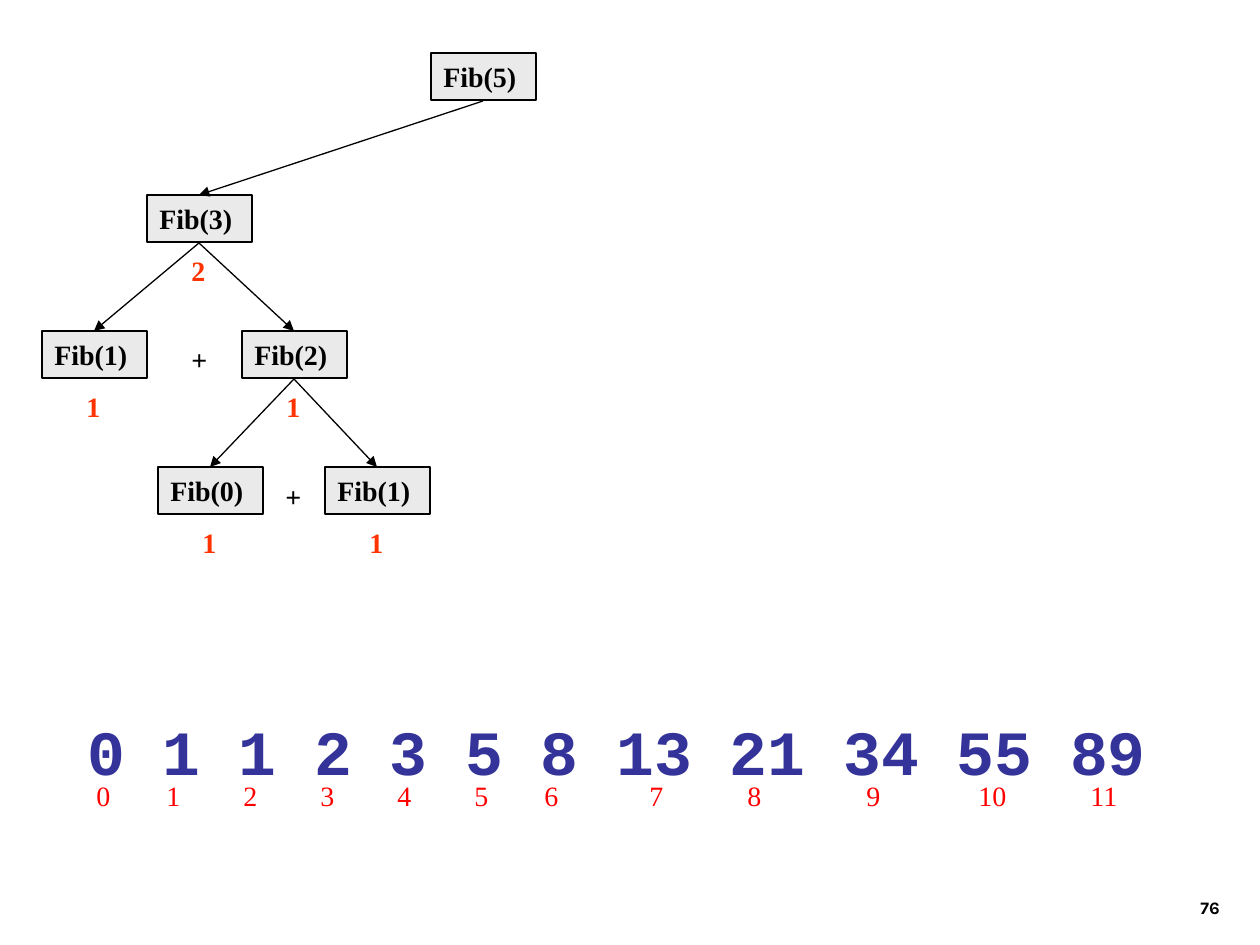
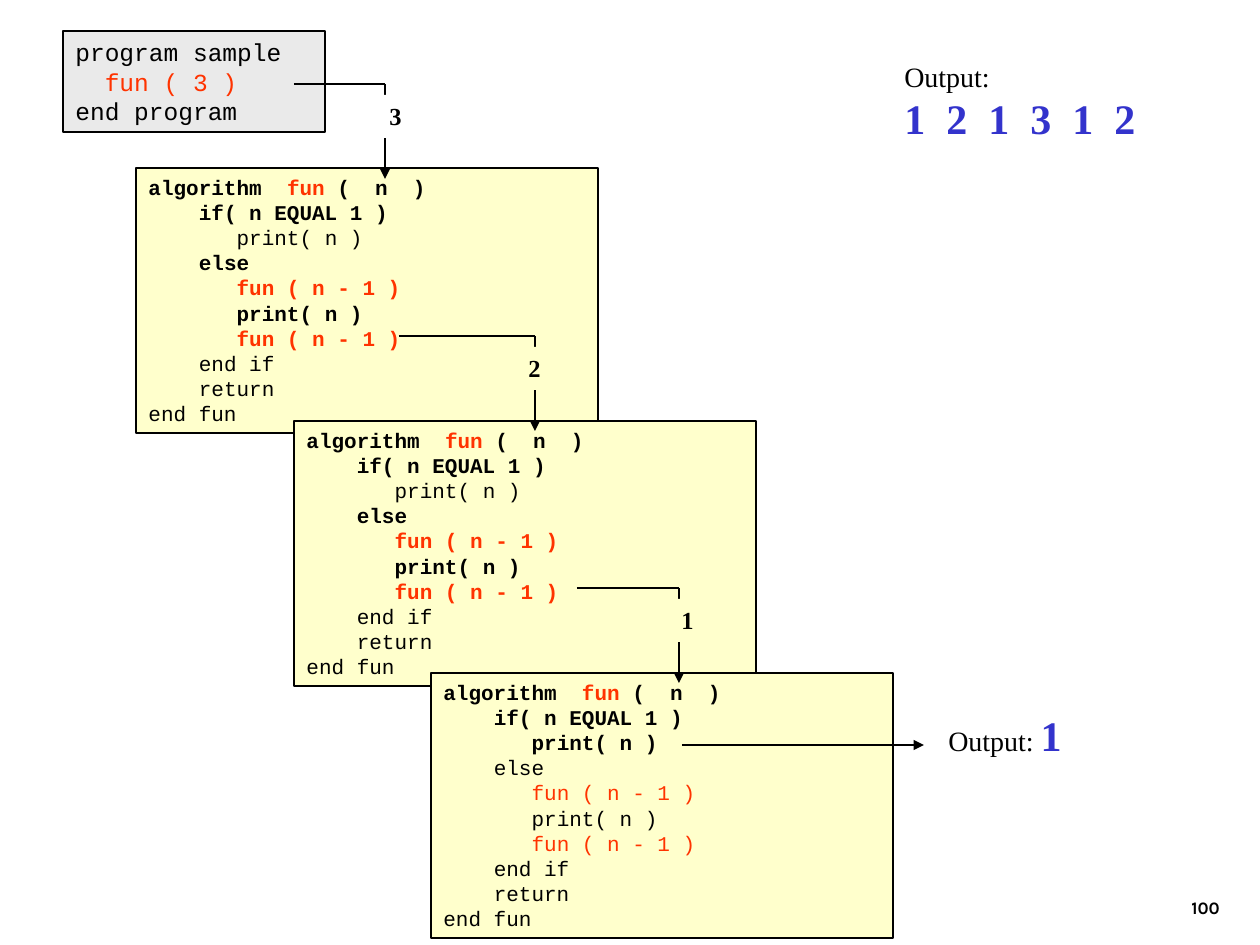
from lxml import etree
from pptx import Presentation
from pptx import util as u
from pptx.dml.color import RGBColor
from pptx.enum import shapes, text
from pptx.oxml.ns import qn

PX = 914400 / 126
HUES = {
    "black": "000000", "white": "FFFFFF", "gray": "EAEAEA", "cream": "FFFFCC",
    "call": "FF3300", "index": "FF0000", "navy": "333399", "blue": "3333CC",
}
HUES = {name: RGBColor.from_string(code) for name, code in HUES.items()}
SERIF, MONO, SANS = "Times New Roman", "Courier New", "Karla"


def box(page, rect, lines, size=16, hue="black", bold=True, face=SERIF,
        fill=None, edge=True):
    spot = [u.Emu(round(v * PX)) for v in rect]
    if fill:
        item = page.shapes.add_shape(shapes.MSO_SHAPE.RECTANGLE, *spot)
        item.shadow.inherit = False
        item.fill.solid()
        item.fill.fore_color.rgb = HUES[fill]
        if edge:
            item.line.color.rgb = HUES["black"]
            item.line.width = u.Pt(0.75)
        else:
            item.line.fill.background()
    else:
        item = page.shapes.add_textbox(*spot)
    frame = item.text_frame
    frame.word_wrap = True
    frame.vertical_anchor = text.MSO_ANCHOR.TOP
    frame.text = "\n".join(lines)
    for para in frame.paragraphs:
        para.alignment = text.PP_ALIGN.LEFT
        parts = para.text.split("|")
        para.text = ""
        for i, part in enumerate(parts):
            if part:
                run = para.add_run()
                run.text = part
                run.font.name = face
                run.font.size = u.Pt(size)
                run.font.bold = bold
                run.font.color.rgb = HUES["call" if i % 2 else hue]
    return item


def link(page, x1, y1, x2, y2, head=True):
    ends = [u.Emu(round(v * PX)) for v in (x1, y1, x2, y2)]
    line = page.shapes.add_connector(shapes.MSO_CONNECTOR.STRAIGHT, *ends)
    line.line.color.rgb = HUES["black"]
    line.line.width = u.Pt(0.75)
    if head:
        tail = etree.SubElement(line.line._get_or_add_ln(), qn("a:tailEnd"))
        tail.set("type", "triangle")
    etree.SubElement(line._element.spPr, qn("a:effectLst"))


deck = Presentation()
deck.slide_width = u.Inches(10)
deck.slide_height = u.Inches(7.5)
pages = []
for number in ("76", "100"):
    page = deck.slides.add_slide(deck.slide_layouts[6])
    foot = box(page, (970, 861, 262, 63), [number], 10, face=SANS).text_frame
    foot.vertical_anchor = text.MSO_ANCHOR.BOTTOM
    foot.paragraphs[0].alignment = text.PP_ALIGN.RIGHT
    pages.append(page)
tree, trace = pages

WIDE, TALL = 105, 47
nodes = [
    (5, 431, 53, None, None),
    (3, 147, 195, "2", 0),
    (1, 42, 331, "1", 1),
    (2, 242, 331, "1", 1),
    (0, 158, 467, "1", 3),
    (1, 325, 467, "1", 3),
]
for n, x, y, value, above in nodes:
    box(tree, (x, y, WIDE, TALL), [f"Fib({n})"], fill="gray")
    if value:
        box(tree, (x + 32, y + 52, 53, TALL), [value], hue="call")
        px, py = nodes[above][1:3]
        link(tree, px + WIDE // 2, py + TALL + 1, x + WIDE // 2, y)
for x, y in ((179, 336), (273, 473)):
    box(tree, (x, y, 42, TALL), ["+"])

box(tree, (75, 706, 1121, 88), ["0 1 1 2 3 5 8 13 21 34 55 89"], 36, "navy", face=MONO)
index = box(tree, (84, 772, 1061, TALL), ["\t".join(map(str, range(12)))],
            hue="index", bold=False)

code = [
    (0, "algorithm  |fun |(  n  )"),
    (4, "if( n EQUAL 1 )"),
    (7, "print( n )"),
    (4, "else"),
    (7, "|fun ( n - 1 )"),
    (7, "print( n )"),
    (7, "|fun ( n - 1 )"),
    (4, "end if"),
    (4, "return"),
    (0, "end fun"),
]
main = [(0, "program sample"), (2, "|fun ( 3 )"), (0, "end program")]
again, base = {0, 1, 3, 4, 5, 6}, {0, 1, 2}
blocks = [
    ((136, 168, 462, 265), code, 12, "cream", again),
    ((294, 421, 462, 265), code, 12, "cream", again),
    ((63, 31, 262, 101), main, 14, "gray", set()),
    ((431, 673, 462, 265), code, 12, "cream", base),
]
for rect, rows, size, fill, strong in blocks:
    block = box(trace, rect, [row for _, row in rows], size, face=MONO, fill=fill)
    for i, para in enumerate(block.text_frame.paragraphs):
        indent = u.Pt(rows[i][0] * size * 0.6)
        para._p.get_or_add_pPr().set("marL", str(int(indent)))
        for run in para.runs:
            run.font.bold = i in strong

done = box(trace, (892, 53, 305, 97), ["Output:", "\t".join("121312")], bold=False)
last = box(trace, (936, 703, 139, 63), ["Output: |1"], bold=False)
last.text_frame.word_wrap = False
for run in (done.text_frame.paragraphs[1].runs[0], last.text_frame.paragraphs[0].runs[1]):
    run.font.size = u.Pt(24)
    run.font.bold = True
    run.font.color.rgb = HUES["blue"]

link(trace, 682, 745, 924, 745)
calls = [
    ("3", 294, 385, 84, 365, 49, "white"),
    ("2", 399, 535, 336, 498, 55, "cream"),
    ("1", 577, 679, 588, 651, 55, "cream"),
]
for n, start, turn, y, left, wide, fill in calls:
    link(trace, start, y, turn, y, head=False)
    link(trace, turn, y, turn, y + 95)
    tag = box(trace, (left, y + 11, wide, 43), [n], 14, fill=fill, edge=False)
    tag.text_frame.paragraphs[0].alignment = text.PP_ALIGN.RIGHT

stops = [
    (index.text_frame.paragraphs[0],
     (70, 147, 224, 301, 378, 448, 553, 651, 770, 882, 994)),
    (done.text_frame.paragraphs[1], range(42, 211, 42)),
]
for para, spots in stops:
    tabs = etree.SubElement(para._p.get_or_add_pPr(), qn("a:tabLst"))
    for spot in spots:
        etree.SubElement(tabs, qn("a:tab"), pos=str(round(spot * PX)), algn="l")

deck.save("out.pptx")
